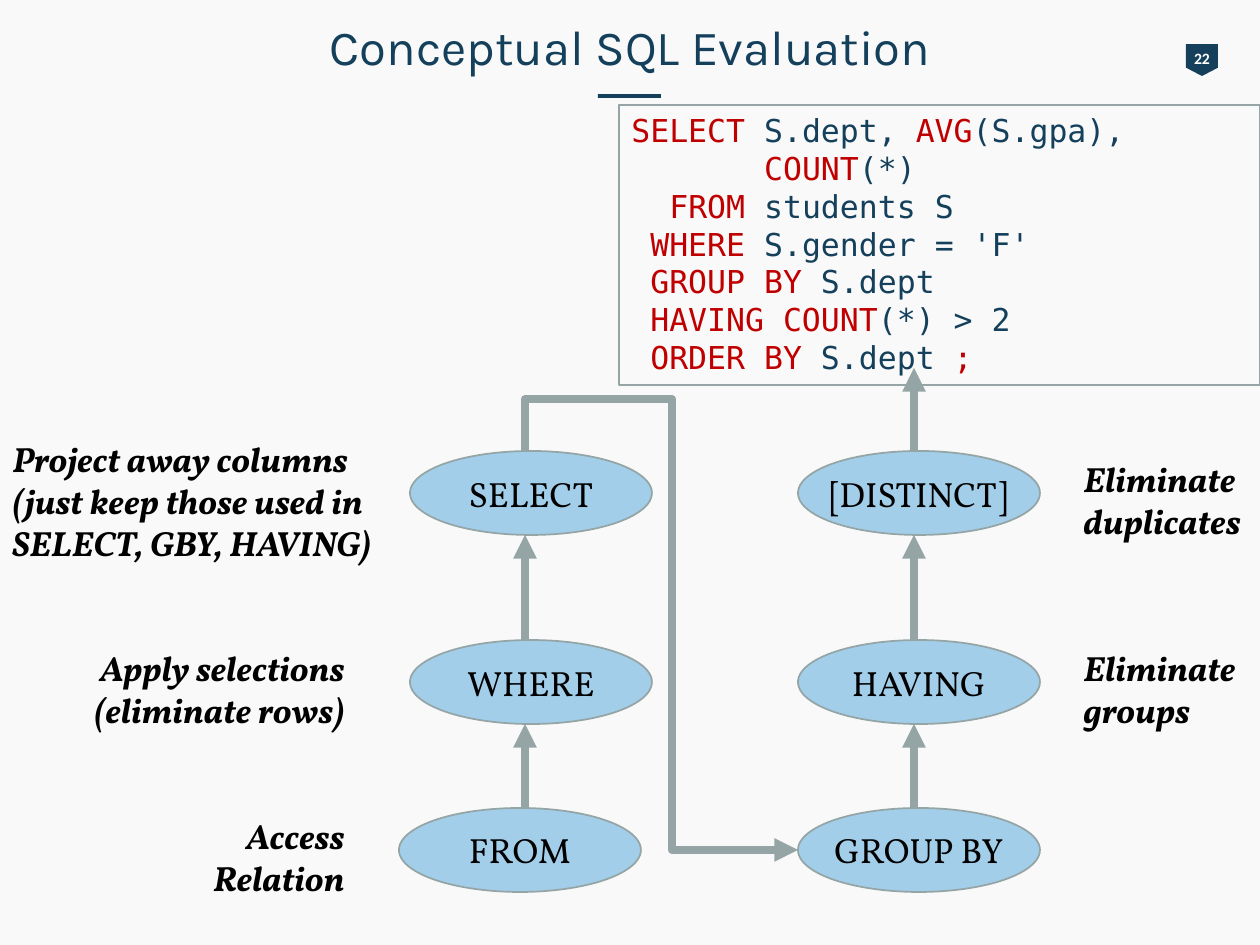
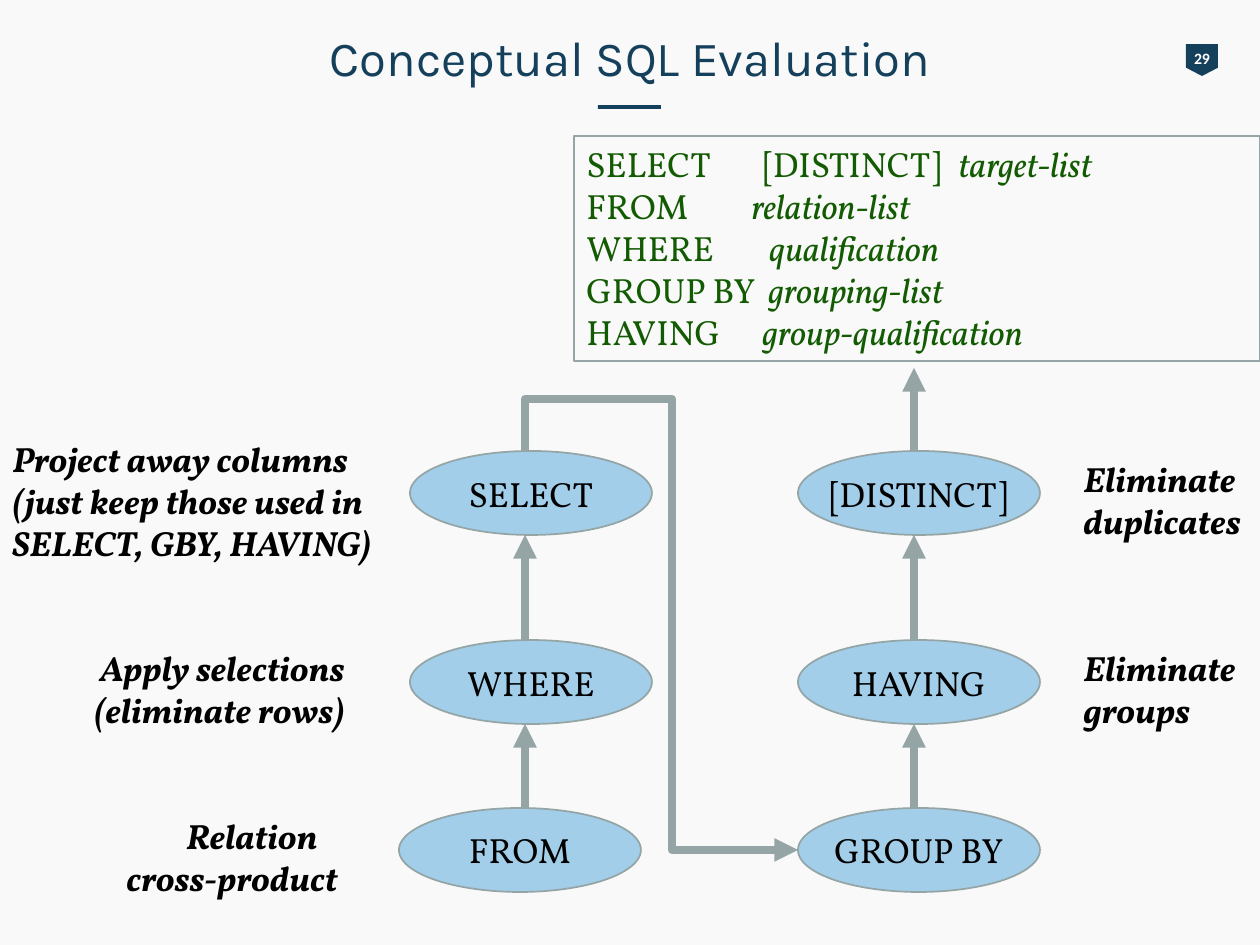
from dataclasses import dataclass
from lxml import etree
from pptx import Presentation
from pptx import util as u
from pptx.dml.color import RGBColor
from pptx.enum import shapes as sh, text as tx
from pptx.oxml.ns import qn


@dataclass(frozen=True)
class Theme:
    back: str = "F9F9F9"
    navy: str = "15405B"
    ink: str = "14405C"
    black: str = "000000"
    white: str = "FFFFFF"
    red: str = "C00000"
    green: str = "135B02"
    sky: str = "A2CEEA"
    gray: str = "95A5A6"
    head: tuple = ("Karla", 28)
    body: tuple = ("Vollkorn", 20)
    code: tuple = ("DejaVu Sans Mono", 18)
    tag: tuple = ("Calibri", 9)
    thin: float = 1
    thick: float = 4.5


T = Theme()
EMU = 914400 / 126
LEFT, MID, RIGHT = tx.PP_ALIGN.LEFT, tx.PP_ALIGN.CENTER, tx.PP_ALIGN.RIGHT
AUTO = sh.MSO_SHAPE


def px(*nums):
    return [u.Emu(round(n * EMU)) for n in nums]


def rgb(code):
    return RGBColor.from_string(code)


def style(run, face, color, bold=False, ital=False):
    font = run.font
    font.name, font.size = face[0], u.Pt(face[1])
    font.color.rgb = rgb(color)
    font.bold, font.italic = bold, ital


def write(frame, words, face, color, align=LEFT, **kind):
    frame.text = words
    for para in frame.paragraphs:
        para.alignment = align
        for run in para.runs:
            style(run, face, color, **kind)


def shape(home, kind, box, fill=None, line=None):
    item = home.add_shape(kind, *px(*box))
    item.shadow.inherit = False
    if fill:
        item.fill.solid()
        item.fill.fore_color.rgb = rgb(fill)
    else:
        item.fill.background()
    if line:
        item.line.color.rgb = rgb(line)
        item.line.width = u.Pt(T.thin)
    else:
        item.line.fill.background()
    return item


def arrow(item):
    """Thick gray stroke with a triangle at its end."""
    item.line.color.rgb = rgb(T.gray)
    item.line.width = u.Pt(T.thick)
    stroke = item.line._get_or_add_ln()
    etree.SubElement(stroke, qn("a:tailEnd"), type="triangle")


# Title, rule below it and page tag
def header(slide, top, page):
    title = slide.shapes.title
    title.left, title.top, title.width, title.height = px(63, top, 1134, 72)
    frame = title.text_frame
    frame.auto_size = tx.MSO_AUTO_SIZE.NONE
    frame.vertical_anchor = tx.MSO_ANCHOR.MIDDLE
    write(frame, "Conceptual SQL Evaluation", T.head, T.ink, MID)
    shape(slide.shapes, AUTO.RECTANGLE, (598, top + 84, 63, 4), T.navy)

    group = slide.shapes.add_group_shape().shapes
    flag = shape(group, AUTO.PENTAGON, (1186, 44, 32, 32), T.navy)
    flag.rotation = 90
    flag.adjustments[0] = 0.26
    frame = group.add_textbox(*px(1181, 42, 42, 32)).text_frame
    frame.word_wrap = False
    frame.vertical_anchor = tx.MSO_ANCHOR.MIDDLE
    write(frame, page, T.tag, T.white, MID, bold=True)


# Framed query; the parts between bars alternate between two looks
def query(slide, box, lines, face, looks, stops=()):
    frame = shape(slide.shapes, AUTO.RECTANGLE, box, line=T.gray).text_frame
    frame.word_wrap = True
    frame.vertical_anchor = tx.MSO_ANCHOR.TOP
    for num, line in enumerate(lines):
        para = frame.add_paragraph() if num else frame.paragraphs[0]
        para.alignment = LEFT
        if stops:
            tabs = etree.SubElement(para._p.get_or_add_pPr(), qn("a:tabLst"))
            for pos in px(*stops[num]):
                etree.SubElement(tabs, qn("a:tab"), pos=str(pos), algn="l")
        for order, part in enumerate(line.split("|")):
            if part:
                run = para.add_run()
                run.text = part
                color, ital = looks[order % 2]
                style(run, face, color, ital=ital)


def note(slide, box, words, align=LEFT, pads=()):
    frame = slide.shapes.add_textbox(*px(*box)).text_frame
    frame.word_wrap = True
    write(frame, words, T.body, T.black, align, bold=True, ital=True)
    for para, pad in zip(frame.paragraphs, px(*pads)):
        para._p.get_or_add_pPr().set("marR", str(pad))


# Evaluation steps, with notes on both sides
def flow(slide, box, source, pads=()):
    left, top = box
    wide, high = 242, 84
    rows = [top + 83, top + 272, top + 440]
    steps = [(410, 0, "SELECT"), (410, 1, "WHERE"), (399, 2, "FROM"),
             (798, 0, "[DISTINCT]"), (798, 1, "HAVING"), (798, 2, "GROUP BY")]
    for x, row, name in steps:
        item = shape(slide.shapes, AUTO.OVAL, (left + x, rows[row], wide, high),
                     T.sky, T.gray)
        frame = item.text_frame
        frame.word_wrap = False
        frame.vertical_anchor = tx.MSO_ANCHOR.MIDDLE
        write(frame, name, T.body, T.black, MID)

    note(slide, (left, rows[0] - 20, 431, 139),
         "Project away columns\n(just keep those used in SELECT, GBY, HAVING)")
    note(slide, (left, rows[1], 357, 97),
         "Apply selections\n(eliminate rows)", RIGHT)
    note(slide, (left + 84, rows[2], 273, 97), source, RIGHT, pads)
    for row, words in enumerate(["Eliminate duplicates", "Eliminate groups"]):
        note(slide, (left + 1071, rows[row], 189, 97), words)

    # Upward arrows
    up, out = left + 525, left + 914
    links = [(x, rows[n + 1], rows[n] + high) for x in (up, out) for n in (0, 1)]
    for x, start, end in links + [(out, rows[0], top)]:
        line = slide.shapes.add_connector(sh.MSO_CONNECTOR.STRAIGHT,
                                          *px(x, start, x, end))
        arrow(line)
        etree.SubElement(line._element.spPr, qn("a:effectLst"))

    # Bent arrow from SELECT to GROUP BY
    bend, peak, base = left + 672, top + 31, rows[2] + high // 2
    path = slide.shapes.build_freeform(up, rows[0], scale=EMU)
    path.add_line_segments([(up, peak), (bend, peak), (bend, base),
                            (left + 798, base)], close=False)
    item = path.convert_to_shape()
    item.shadow.inherit = False
    item.fill.background()
    arrow(item)


def main():
    deck = Presentation()
    deck.slide_width, deck.slide_height = px(1260, 945)
    fill = deck.slide_master.background.fill
    fill.solid()
    fill.fore_color.rgb = rgb(T.back)
    plain = deck.slide_layouts[5]

    # Example query
    slide = deck.slides.add_slide(plain)
    header(slide, 10, "22")
    query(slide, (619, 105, 641, 280),
          ["|SELECT |S.dept, |AVG|(S.gpa),",
           "       |COUNT|(*)",
           "  |FROM| students S",
           " |WHERE |S.gender = 'F'",
           " |GROUP BY |S.dept",
           " |HAVING COUNT|(*) > 2",
           " |ORDER BY |S.dept |;"],
          T.code, [(T.ink, False), (T.red, False)])
    flow(slide, (0, 368), "Access\nRelation")

    # General form
    slide = deck.slides.add_slide(plain)
    header(slide, 21, "29")
    query(slide, (574, 136, 686, 225),
          ["SELECT\t[DISTINCT]\t|target-list",
           "FROM\t|relation-list",
           "WHERE\t|qualification",
           "GROUP BY\t|grouping-list",
           "HAVING\t|group-qualification"],
          T.body, [(T.green, False), (T.green, True)],
          [(177, 372), (165,), (183,), (182,), (176,)])
    flow(slide, (0, 368), "Relation\ncross-product", (27, 7))

    deck.save("out.pptx")


if __name__ == "__main__":
    main()
